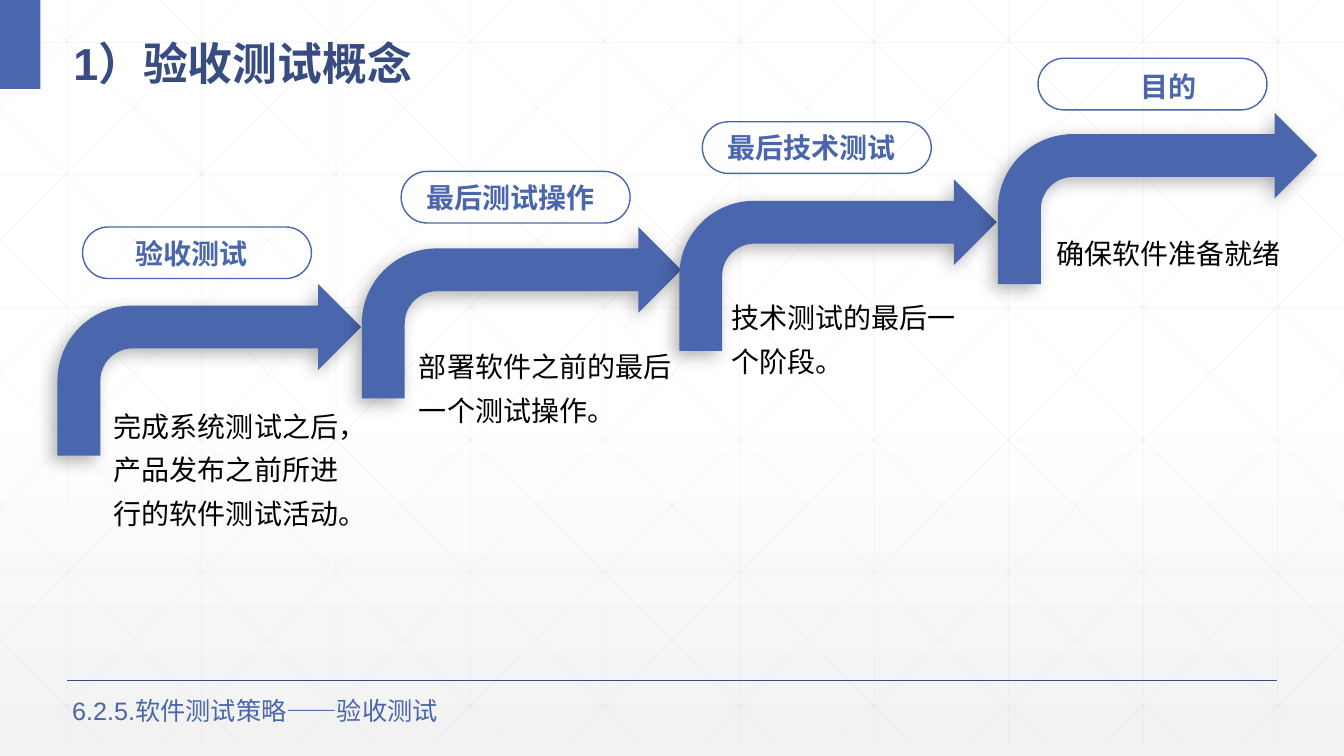
from lxml import etree
from pptx import Presentation, util as u
from pptx.dml.color import RGBColor
from pptx.enum import shapes, text
from pptx.oxml.ns import qn

BLUE, NAVY, BLACK, GRID = "4A66AC", "384C81", "000000", "D9D9D9"
CJK = "Noto Sans CJK SC"
WIDTH, HEIGHT = 33.87, 19.05
GRID_BOTTOM = 18.73
PITCH = 3.39
ARROW_HEIGHT = 4.32
PILL_SIZE = (5.77, 1.3)

# label, description, arrow box (left, top, width), pill (left, top),
# label offset in the pill (x, y, width), description box
STEPS = [
    ("验收测试", "完成系统测试之后，产品发布之前所进行的软件测试活动。",
     (1.45, 7.16, 7.65), (2.08, 5.72), (0.61, 0.23, 4.29), (2.62, 9.93, 6.65, 3.48)),
    ("最后测试操作", "部署软件之前的最后一个测试操作。",
     (9.12, 5.72, 8.05), (10.11, 4.32), (0.61, 0.23, 4.29), (10.31, 8.43, 6.91, 2.36)),
    ("最后技术测试", "技术测试的最后一个阶段。",
     (17.12, 4.52, 8.0), (17.7, 3.07), (0.61, 0.23, 4.29), (18.19, 7.19, 6.76, 2.36)),
    ("目的", "确保软件准备就绪",
     (25.15, 2.84, 8.05), (26.16, 1.47), (1.9, 0.28, 2.77), (26.37, 5.59, 7.52, 1.35)),
]


def color(value):
    return RGBColor.from_string(value)


def lengths(values):
    return [u.Cm(value) for value in values]


def add_line(slide, start, end, line_color, width, opacity=None):
    line = slide.shapes.add_connector(
        shapes.MSO_CONNECTOR.STRAIGHT, *lengths(start + end))
    line.line.color.rgb = color(line_color)
    line.line.width = u.Pt(width)
    properties = line._element.spPr
    etree.SubElement(properties, qn("a:effectLst"))
    if opacity:
        fill = properties.find(".//" + qn("a:srgbClr"))
        etree.SubElement(fill, qn("a:alpha"), val=str(opacity * 1000))


def add_shape(slide, kind, box, fill=None, outline=None):
    shape = slide.shapes.add_shape(kind, *lengths(box))
    shape.shadow.inherit = False
    if fill:
        shape.fill.solid()
        shape.fill.fore_color.rgb = color(fill)
    else:
        shape.fill.background()
    if outline:
        shape.line.color.rgb = color(outline)
        shape.line.width = u.Pt(1)
    else:
        shape.line.fill.background()
    return shape


def add_shadow(shape):
    effects = shape._element.spPr.find(qn("a:effectLst"))
    shadow = etree.SubElement(
        effects, qn("a:outerShdw"), blurRad=str(u.Pt(12)), dist=str(u.Pt(5)),
        dir="8100000", algn="tr", rotWithShape="0")
    shade = etree.SubElement(shadow, qn("a:srgbClr"), val=BLACK)
    etree.SubElement(shade, qn("a:alpha"), val="30000")


def add_text(slide, box, content, size, text_color, font=CJK, bold=False,
             spacing=None, label=False):
    frame = slide.shapes.add_textbox(*lengths(box)).text_frame
    frame.word_wrap = True
    paragraph = frame.paragraphs[0]
    if label:
        frame.margin_left = frame.margin_right = 0
        frame.margin_top = frame.margin_bottom = 0
        paragraph.alignment = text.PP_ALIGN.CENTER
    if spacing:
        paragraph.line_spacing = spacing
    run = paragraph.add_run()
    run.text = content
    run.font.size = u.Pt(size)
    run.font.bold = bold
    run.font.color.rgb = color(text_color)
    run.font.name = font
    etree.SubElement(run.font._element, qn("a:ea"), typeface=CJK)


def add_background(slide):
    fill = slide.background.fill
    fill.gradient()
    fill.gradient_angle = 270
    for stop, position, value in zip(
            fill.gradient_stops, (0.53, 1), ("FFFFFF", "F2F2F2")):
        stop.position = position
        stop.color.rgb = color(value)


def add_grid(slide):
    lines = []
    for column in range(10):
        x = 1.69 + PITCH * column
        lines.append(((x, 0), (x, GRID_BOTTOM)))
    for row in range(6):
        y = 1.07 + 3.34 * row
        lines.append(((0, y), (WIDTH, y)))
    # Diagonals cut at the slide edges, each with its mirror image
    slope = GRID_BOTTOM / 18.94
    for step in range(-5, 10):
        origin = 0.64 + PITCH * step
        left = max(origin, 0)
        right = min(origin + 18.94, WIDTH)
        top, bottom = (left - origin) * slope, (right - origin) * slope
        lines.append(((left, top), (right, bottom)))
        lines.append(((WIDTH - left, top), (WIDTH - right, bottom)))
    for start, end in lines:
        add_line(slide, start, end, GRID, 0.5, opacity=25)


def add_step(slide, label, description, arrow, pill, offset, description_box):
    bent_arrow = add_shape(slide, shapes.MSO_SHAPE.BENT_ARROW,
                           arrow + (ARROW_HEIGHT,), fill=BLUE)
    add_shadow(bent_arrow)
    x, y, width = offset
    add_text(slide, (pill[0] + x, pill[1] + y, width, 0.86), label, 20, BLUE,
             bold=True, label=True)
    outline = add_shape(slide, shapes.MSO_SHAPE.ROUNDED_RECTANGLE,
                        pill + PILL_SIZE, outline=BLUE)
    outline.adjustments[0] = 0.5
    add_text(slide, description_box, description, 20, BLACK, spacing=1.3)


def main():
    presentation = Presentation()
    presentation.slide_width, presentation.slide_height = lengths((WIDTH, HEIGHT))
    slide = presentation.slides.add_slide(presentation.slide_layouts[6])

    # Backdrop
    add_background(slide)
    add_grid(slide)
    add_line(slide, (1.69, 17.14), (32.18, 17.14), NAVY, 1)

    # Title
    add_shape(slide, shapes.MSO_SHAPE.RECTANGLE, (0, 0, 1.02, 2.24), fill=BLUE)
    add_text(slide, (1.6, 0.36, 30.61, 1.85), "1）验收测试概念", 32, NAVY,
             font="Arial", bold=True, spacing=1.3)

    # Rising steps
    for step in STEPS:
        add_step(slide, *step)

    # Footer
    add_text(slide, (1.57, 17.4, 11.73, 1.02), "6.2.5.软件测试策略——验收测试", 18,
             BLUE, font="Arial")
    presentation.save("out.pptx")


if __name__ == "__main__":
    main()
